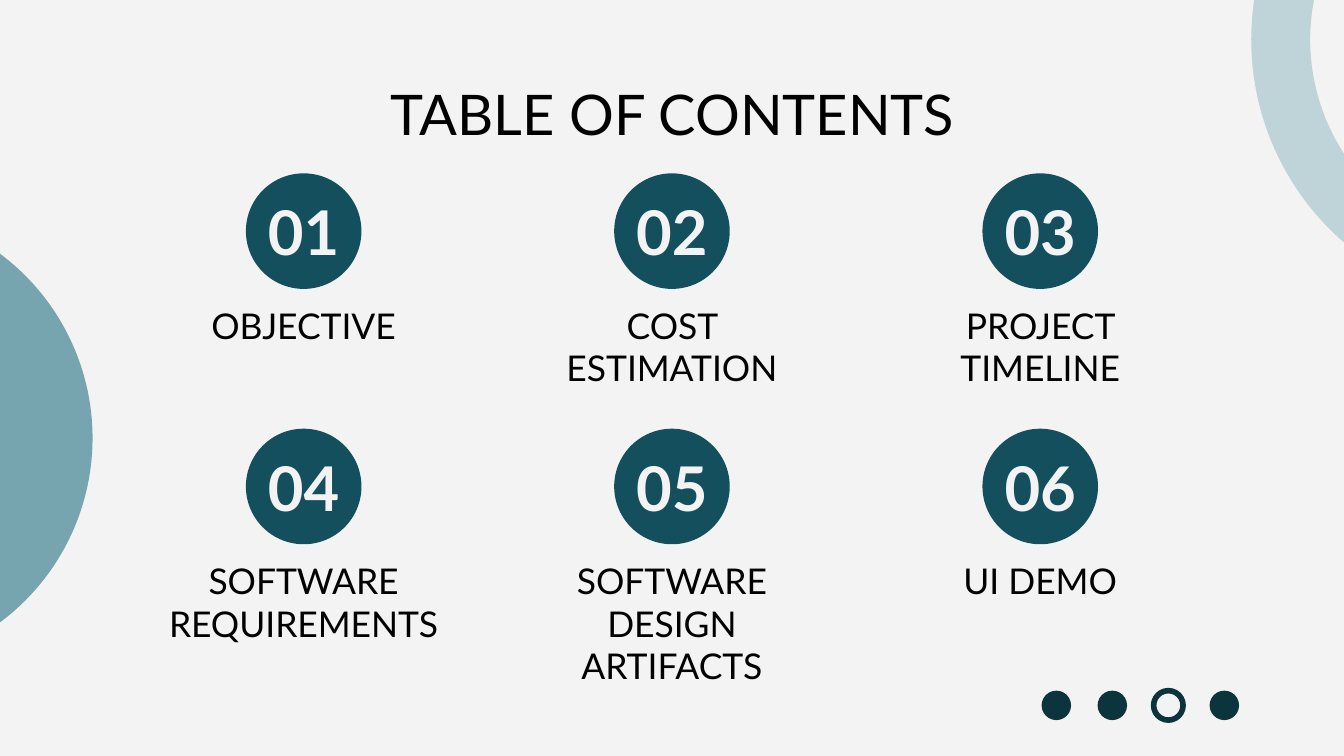
from dataclasses import dataclass

from pptx import Presentation
from pptx.dml.color import RGBColor
from pptx.enum.shapes import MSO_SHAPE as Kind
from pptx.enum.text import MSO_ANCHOR as Anchor, PP_ALIGN as Align
from pptx.util import Pt

PAPER = RGBColor(0xF3, 0xF3, 0xF3)
BLACK = RGBColor(0x00, 0x00, 0x00)
TEAL = RGBColor(0x13, 0x4F, 0x5C)
DARK = RGBColor(0x0C, 0x34, 0x3D)
MID = RGBColor(0x76, 0xA5, 0xAF)
PALE = RGBColor(0xBE, 0xD4, 0xD8)
FONT = "Lato"

# Grid of entries: middle of first column, top of first row, steps
COLS = 3
LEFT, TOP = 162.7, 92.9
STEP_X, STEP_Y = 197.3, 136.8
DISC = 61.9
LABEL_H = 59


@dataclass
class Entry:
    label: str
    width: float = 155.5


ENTRIES = [
    Entry("OBJECTIVE"),
    Entry("COST ESTIMATION"),
    Entry("PROJECT TIMELINE"),
    Entry("SOFTWARE REQUIREMENTS", 163.4),
    Entry("SOFTWARE DESIGN ARTIFACTS"),
    Entry("UI DEMO"),
]


def add_round(slide, left: float, top: float, size: float,
              fill: RGBColor | None, kind=Kind.OVAL):
    """Add a round shape without outline; no fill when fill is None."""
    shape = slide.shapes.add_shape(kind, Pt(left), Pt(top), Pt(size), Pt(size))
    shape.shadow.inherit = False
    shape.line.fill.background()
    if fill is None:
        shape.fill.background()
    else:
        shape.fill.solid()
        shape.fill.fore_color.rgb = fill
    return shape


def write(shape, text: str, size: float, color: RGBColor, inset: float = 7.2,
          bold: bool = False, wrap: bool = True, anchor=Anchor.TOP) -> None:
    """Put one centred run of text in a shape."""
    frame = shape.text_frame
    frame.word_wrap = wrap
    frame.vertical_anchor = anchor
    frame.margin_left = frame.margin_right = Pt(inset)
    frame.margin_top = frame.margin_bottom = Pt(inset)
    para = frame.paragraphs[0]
    para.alignment = Align.CENTER
    run = para.add_run()
    run.text = text
    run.font.name = FONT
    run.font.size = Pt(size)
    run.font.bold = bold
    run.font.color.rgb = color


def add_entry(slide, index: int, entry: Entry) -> None:
    """Draw a numbered disc with its label below."""
    row, col = divmod(index, COLS)
    mid = LEFT + col * STEP_X
    top = TOP + row * STEP_Y
    disc = add_round(slide, mid - DISC / 2, top, DISC, TEAL)
    write(disc, f"{index + 1:02}", 33, PAPER, inset=0, bold=True,
          wrap=False, anchor=Anchor.MIDDLE)
    box = slide.shapes.add_textbox(Pt(mid - entry.width / 2), Pt(top + DISC + 0.7),
                                   Pt(entry.width), Pt(LABEL_H))
    write(box, entry.label, 19, BLACK)


def main() -> None:
    deck = Presentation()
    deck.slide_width, deck.slide_height = Pt(720), Pt(405)
    slide = deck.slides.add_slide(deck.slide_layouts[5])
    slide.background.fill.solid()
    slide.background.fill.fore_color.rgb = PAPER

    # Corner ring and side disc
    ring = add_round(slide, 670.3, -122.4, 287.3, PALE, Kind.DONUT)
    ring.adjustments[0] = 0.11
    add_round(slide, -196.6, 111.6, 246.2, MID)

    # Page dots, the third one open
    for i in range(4):
        is_open = i == 2
        dot = add_round(slide, 558 + i * 30, 370, 15.8, None if is_open else DARK)
        if is_open:
            dot.line.color.rgb = DARK
            dot.line.width = Pt(3)

    # Title
    title = slide.shapes.title
    title.left, title.top = Pt(56.9), Pt(35.3)
    title.width, title.height = Pt(607), Pt(45.4)
    write(title, "TABLE OF CONTENTS", 30, BLACK)

    # Entries
    for i, entry in enumerate(ENTRIES):
        add_entry(slide, i, entry)

    deck.save("out.pptx")


if __name__ == "__main__":
    main()
